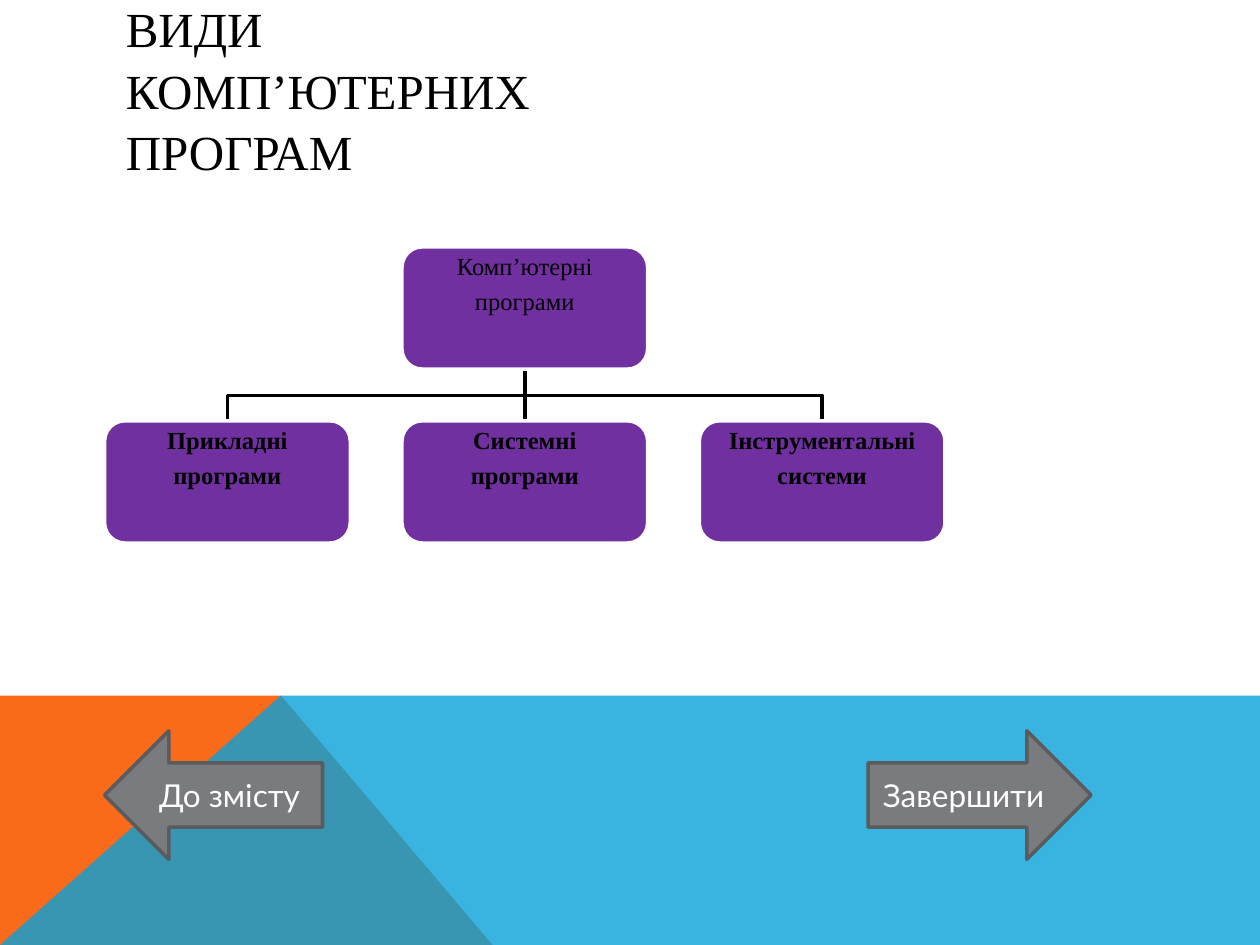
from dataclasses import dataclass

import pptx
import pptx.dml.color
import pptx.enum.shapes
import pptx.enum.text
import pptx.oxml
import pptx.oxml.ns
import pptx.util
from lxml import etree

Inches = pptx.util.Inches
Pt = pptx.util.Pt
Shape = pptx.enum.shapes.MSO_SHAPE
Align = pptx.enum.text.PP_ALIGN
Anchor = pptx.enum.text.MSO_ANCHOR


@dataclass(frozen=True)
class Theme:
    orange: str = "F96A1B"
    blue: str = "08A1D9"
    purple: str = "7030A0"
    grey: str = "797B7E"
    dark_grey: str = "5A5B5D"
    black: str = "000000"
    white: str = "FFFFFF"
    serif: str = "Times New Roman"
    sans: str = "Lato"
    title_size: int = 28
    node_size: int = 14
    button_size: int = 18
    line_width: int = 2


@dataclass(frozen=True)
class Node:
    lines: tuple[str, str]
    left: float
    top: float
    bold: bool = True

    @property
    def center(self) -> float:
        return self.left + NODE_WIDTH / 2


@dataclass(frozen=True)
class Button:
    label: str
    preset: Shape
    left: float
    width: float


THEME = Theme()
NODE_WIDTH, NODE_HEIGHT = 1.95, 0.97
ROOT_TOP, BRANCH_TOP = 1.96, 3.34
BRANCH_LEFT, BRANCH_STEP = 0.83, 2.36
ELBOW_Y = 3.14
BAND_TOP, SLIDE_WIDTH, SLIDE_HEIGHT = 5.52, 10, 7.5

ROOT = Node(("Комп’ютерні", "програми"), BRANCH_LEFT + BRANCH_STEP, ROOT_TOP, bold=False)
BRANCHES = [
    Node(lines, BRANCH_LEFT + i * BRANCH_STEP, BRANCH_TOP)
    for i, lines in enumerate([
        ("Прикладні", "програми"),
        ("Системні", "програми"),
        ("Інструментальні", "системи"),
    ])
]
BUTTONS = [
    Button("До змісту", Shape.LEFT_ARROW, 0.83, 1.73),
    Button("Завершити", Shape.RIGHT_ARROW, 6.89, 1.77),
]


def rgb(color: str) -> pptx.dml.color.RGBColor:
    return pptx.dml.color.RGBColor.from_string(color)


def set_fill(shape, color: str) -> None:
    shape.fill.solid()
    shape.fill.fore_color.rgb = rgb(color)


def set_line(shape, color: str) -> None:
    shape.line.color.rgb = rgb(color)
    shape.line.width = Pt(THEME.line_width)


def style_text(frame, font: str, size: int, color: str, align, bold: bool = False) -> None:
    for paragraph in frame.paragraphs:
        paragraph.alignment = align
        for run in paragraph.runs:
            run.font.name = font
            run.font.size = Pt(size)
            run.font.bold = bold
            run.font.color.rgb = rgb(color)


def draw_outline(slide, points: list[tuple[float, float]], close: bool):
    corners = [(Inches(x), Inches(y)) for x, y in points]
    builder = slide.shapes.build_freeform(*corners[0])
    builder.add_line_segments(corners[1:], close=close)
    outline = builder.convert_to_shape()
    outline.shadow.inherit = False
    return outline


def draw_band(slide, points: list[tuple[float, float]], color: str, opacity: int = 100) -> None:
    band = draw_outline(slide, points, close=True)
    set_fill(band, color)
    band.line.fill.background()
    if opacity < 100:
        tint = band.fill._xPr.find(".//" + pptx.oxml.ns.qn("a:srgbClr"))
        etree.SubElement(tint, pptx.oxml.ns.qn("a:alpha"), val=str(opacity * 1000))


def draw_title(slide) -> None:
    title = slide.shapes.add_textbox(Inches(0.9), Inches(0.4), Inches(8.22), Inches(0.6))
    frame = title.text_frame
    frame.word_wrap = True
    frame.vertical_anchor = Anchor.MIDDLE
    frame.paragraphs[0].text = "ВИДИ\vКОМП’ЮТЕРНИХ\vПРОГРАМ"
    frame.paragraphs[0].line_spacing = 1.05
    style_text(frame, THEME.serif, THEME.title_size, THEME.black, Align.LEFT)


def draw_elbow(slide, parent: Node, child: Node) -> None:
    elbow = draw_outline(slide, [
        (parent.center, parent.top + NODE_HEIGHT),
        (parent.center, ELBOW_Y),
        (child.center, ELBOW_Y),
        (child.center, child.top),
    ], close=False)
    elbow.fill.background()
    set_line(elbow, THEME.black)


def draw_trunk(slide, parent: Node, child: Node):
    trunk = slide.shapes.add_connector(
        pptx.enum.shapes.MSO_CONNECTOR.STRAIGHT,
        Inches(parent.center), Inches(parent.top + NODE_HEIGHT),
        Inches(child.center), Inches(child.top))
    set_line(trunk, THEME.black)
    etree.SubElement(trunk._element.spPr, pptx.oxml.ns.qn("a:effectLst"))
    return trunk


def draw_node(slide, node: Node):
    box = slide.shapes.add_shape(
        Shape.ROUNDED_RECTANGLE, Inches(node.left), Inches(node.top),
        Inches(NODE_WIDTH), Inches(NODE_HEIGHT))
    box.shadow.inherit = False
    set_fill(box, THEME.purple)
    set_line(box, THEME.white)
    frame = box.text_frame
    frame.margin_left = frame.margin_right = Inches(0.01)
    frame.margin_top = frame.margin_bottom = Inches(0.01)
    frame.vertical_anchor = Anchor.TOP
    frame.text = "\n".join(node.lines)
    for paragraph in frame.paragraphs:
        paragraph.line_spacing = 0.9
        paragraph.space_after = Pt(5)
    style_text(frame, THEME.serif, THEME.node_size, THEME.black, Align.CENTER, node.bold)
    return box


def draw_hierarchy(slide) -> None:
    """Draw the lines beneath the boxes, then join the trunk to them."""
    first, middle, last = BRANCHES
    draw_elbow(slide, ROOT, last)
    trunk = draw_trunk(slide, ROOT, middle)
    draw_elbow(slide, ROOT, first)
    root_box = draw_node(slide, ROOT)
    branch_boxes = [draw_node(slide, branch) for branch in BRANCHES]
    trunk.begin_connect(root_box, 2)
    trunk.end_connect(branch_boxes[1], 0)


def draw_button(slide, button: Button) -> None:
    arrow = slide.shapes.add_shape(
        button.preset, Inches(button.left), Inches(5.8), Inches(button.width), Inches(1.02))
    arrow.shadow.inherit = False
    set_fill(arrow, THEME.grey)
    set_line(arrow, THEME.dark_grey)
    arrow.text_frame.text = button.label
    arrow.text_frame.vertical_anchor = Anchor.MIDDLE
    style_text(arrow.text_frame, THEME.sans, THEME.button_size, THEME.white, Align.CENTER)


def main() -> None:
    deck = pptx.Presentation()
    deck.slide_width, deck.slide_height = Inches(SLIDE_WIDTH), Inches(SLIDE_HEIGHT)
    slide = deck.slides.add_slide(deck.slide_layouts[6])
    peak, corner = (2.23, BAND_TOP), (0, SLIDE_HEIGHT)
    draw_band(slide, [corner, (0, BAND_TOP), peak, (3.91, SLIDE_HEIGHT)], THEME.orange)
    draw_band(slide, [corner, peak, (SLIDE_WIDTH, BAND_TOP), (SLIDE_WIDTH, SLIDE_HEIGHT)],
              THEME.blue, opacity=80)
    draw_title(slide)
    draw_hierarchy(slide)
    for button in BUTTONS:
        draw_button(slide, button)
    deck.save("out.pptx")


if __name__ == "__main__":
    main()
